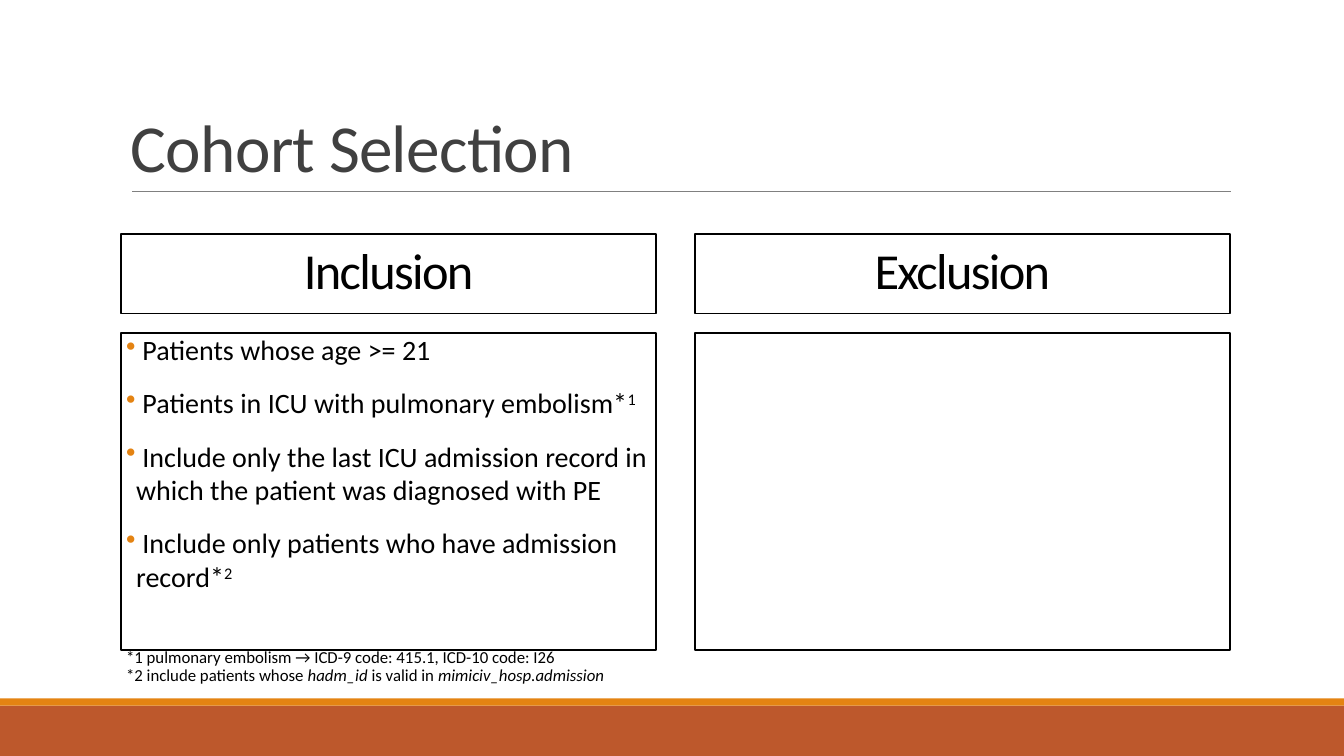
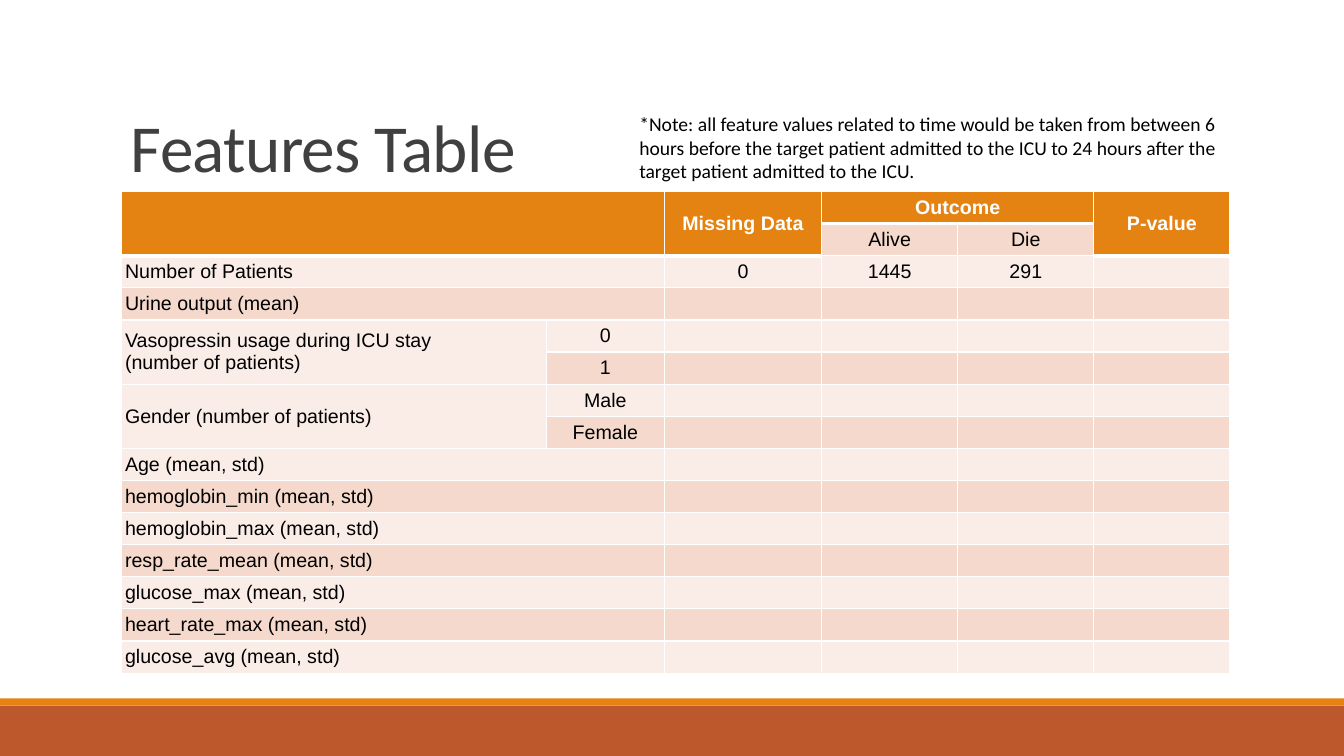
from dataclasses import dataclass

from lxml.etree import SubElement
from pptx import Presentation
from pptx.dml.color import RGBColor
from pptx.enum.shapes import MSO_CONNECTOR, MSO_SHAPE
from pptx.enum.text import MSO_ANCHOR, PP_ALIGN
from pptx.oxml.ns import qn
from pptx.util import Inches, Pt


@dataclass(frozen=True)
class Theme:
    heading_font: str = "Calibri"
    table_font: str = "Arial"
    black: str = "000000"
    white: str = "FFFFFF"
    title_gray: str = "404040"
    rule_gray: str = "808080"
    orange: str = "E48312"
    rust: str = "BD582C"
    row_light: str = "FAEDE7"
    row_dark: str = "F5D9CC"
    title_size: int = 48
    heading_size: int = 36
    body_size: int = 20
    table_size: int = 14
    footnote_size: int = 12


THEME = Theme()
SLIDE_WIDTH, SLIDE_HEIGHT = 13.33, 7.5
LEFT, CONTENT_WIDTH = 1.2, 11
TITLE_TOP, TITLE_BOTTOM = 0.31, 1.9
SUPERSCRIPT, ITALIC = "superscript", "italic"

INCLUSION_RULES = [
    [" Patients whose age >= 21"],
    [" Patients in ICU with pulmonary embolism*", ("1", SUPERSCRIPT)],
    [" Include only the last ICU admission record in which the patient was diagnosed with PE"],
    [" Include only patients who have admission record*", ("2", SUPERSCRIPT)],
]
FOOTNOTES = [
    ["*1 pulmonary embolism → ICD-9 code: 415.1, ICD-10 code: I26"],
    ["*2 include patients whose ", ("hadm_id", ITALIC), " is valid in ",
     ("mimiciv_hosp.admission", ITALIC)],
]
NOTE = ("*Note: all feature values related to time would be taken from between 6 hours "
        "before the target patient admitted to the ICU to 24 hours after the target "
        "patient admitted to the ICU.")
COLUMN_WIDTHS = [4.22, 1.17, 1.56, 1.35, 1.35, 1.35]
FEATURE_ROWS = [
    ["", "", "Missing Data", "Outcome", "", "P-value"],
    ["", "", "", "Alive", "Die", ""],
    ["Number of Patients", "", "0", "1445", "291", ""],
    ["Urine output (mean)"],
    ["Vasopressin usage during ICU stay\n(number of patients)", "0"],
    ["", "1"],
    ["Gender (number of patients)", "Male"],
    ["", "Female"],
    ["Age (mean, std)"],
    ["hemoglobin_min (mean, std)"],
    ["hemoglobin_max (mean, std)"],
    ["resp_rate_mean (mean, std)"],
    ["glucose_max (mean, std)"],
    ["heart_rate_max (mean, std)"],
    ["glucose_avg (mean, std)"],
]
SPLIT_ROWS = (4, 6)  # first rows of the features that have two categories


def rgb(color):
    return RGBColor.from_string(color)


def set_font(paragraph, size, color, name=THEME.heading_font, bold=False):
    font = paragraph.font
    font.name, font.size, font.bold = name, Pt(size), bold
    font.color.rgb = rgb(color)


def add_runs(paragraph, parts, spacing=None):
    for part in parts:
        text, style = (part, None) if isinstance(part, str) else part
        run = paragraph.add_run()
        run.text = text
        if style == ITALIC:
            run.font.italic = True
        properties = run._r.get_or_add_rPr()
        if style == SUPERSCRIPT:
            properties.set("baseline", "30000")
        if spacing is not None:
            properties.set("spc", str(int(spacing * 100)))


def set_bullet(paragraph, color, indent=0.1):
    properties = paragraph._p.get_or_add_pPr()
    properties.set("marL", str(Inches(indent)))
    properties.set("indent", str(-Inches(indent)))
    bullet_color = SubElement(properties, qn("a:buClr"))
    SubElement(bullet_color, qn("a:srgbClr"), val=color)
    SubElement(properties, qn("a:buChar"), char="•")


def write_paragraphs(frame, lines, size, color=THEME.black, align=PP_ALIGN.LEFT,
                     line_spacing=None, spacing=None, bullets=False):
    frame.word_wrap = True
    for index, parts in enumerate(lines):
        paragraph = frame.add_paragraph() if index else frame.paragraphs[0]
        paragraph.alignment = align
        if line_spacing:
            paragraph.line_spacing = line_spacing
        if bullets:
            paragraph.space_before, paragraph.space_after = Pt(12), Pt(2)
            set_bullet(paragraph, THEME.orange)
        set_font(paragraph, size, color)
        add_runs(paragraph, parts, spacing)


def set_narrow_margins(frame):
    frame.margin_left = frame.margin_right = Inches(0.05)
    frame.margin_top = frame.margin_bottom = 0


def add_rectangle(slide, box, fill=None, outline=None):
    shape = slide.shapes.add_shape(MSO_SHAPE.RECTANGLE, *map(Inches, box))
    shape.shadow.inherit = False
    if fill:
        shape.fill.solid()
        shape.fill.fore_color.rgb = rgb(fill)
    else:
        shape.fill.background()
    if outline:
        shape.line.color.rgb = rgb(outline)
        shape.line.width = Pt(1.25)
    else:
        shape.line.fill.background()
    return shape


def add_text(slide, box, lines, size, **style):
    frame = slide.shapes.add_textbox(*map(Inches, box)).text_frame
    set_narrow_margins(frame)
    write_paragraphs(frame, lines, size, **style)


def add_base_slide(presentation, title):
    slide = presentation.slides.add_slide(presentation.slide_layouts[6])
    # Footer bands
    add_rectangle(slide, (0, 7, SLIDE_WIDTH, 0.5), THEME.rust)
    add_rectangle(slide, (0, 6.93, SLIDE_WIDTH, 0.07), THEME.orange)
    # Rule under the title
    rule = slide.shapes.add_connector(
        MSO_CONNECTOR.STRAIGHT, Inches(LEFT + 0.11), Inches(TITLE_BOTTOM),
        Inches(LEFT + CONTENT_WIDTH + 0.01), Inches(TITLE_BOTTOM))
    rule.line.color.rgb = rgb(THEME.rule_gray)
    rule.line.width = Pt(0.5)
    SubElement(rule._element.spPr, qn("a:effectLst"))
    # Title
    box = (LEFT, TITLE_TOP, CONTENT_WIDTH, TITLE_BOTTOM - TITLE_TOP)
    frame = slide.shapes.add_textbox(*map(Inches, box)).text_frame
    frame.vertical_anchor = MSO_ANCHOR.BOTTOM
    write_paragraphs(frame, [[title]], THEME.title_size, THEME.title_gray,
                     line_spacing=0.85, spacing=-0.5)
    return slide


def add_criteria_panel(slide, box, heading, rules):
    left, top, width, height = box
    heading_height, gap = 0.79, 0.19
    # Criteria list
    body_top = top + heading_height + gap
    body = add_rectangle(slide, (left, body_top, width, top + height - body_top),
                         THEME.white, THEME.black)
    if rules:
        set_narrow_margins(body.text_frame)
        body.text_frame.vertical_anchor = MSO_ANCHOR.TOP
        write_paragraphs(body.text_frame, rules, THEME.body_size, bullets=True)
    # Heading
    header = add_rectangle(slide, (left, top, width, heading_height), outline=THEME.black)
    header.text_frame.vertical_anchor = MSO_ANCHOR.MIDDLE
    write_paragraphs(header.text_frame, [[heading]], THEME.heading_size,
                     align=PP_ALIGN.CENTER, line_spacing=0.85, spacing=-1.2)


def add_cohort_slide(presentation):
    slide = add_base_slide(presentation, "Cohort Selection")
    panel_width, panel_top, panel_height = 5.31, 2.32, 4.13
    panels = [("Inclusion", INCLUSION_RULES), ("Exclusion", [])]
    for index, (heading, rules) in enumerate(panels):
        left = LEFT + index * (CONTENT_WIDTH - panel_width)
        add_criteria_panel(slide, (left, panel_top, panel_width, panel_height), heading, rules)
    add_text(slide, (LEFT, 6.44, panel_width, 0.39), FOOTNOTES, THEME.footnote_size,
             line_spacing=0.9)


def is_header(row, column):
    return row == 0 or (row == 1 and column not in (3, 4))


def set_borders(cell, row, column):
    header = is_header(row, column)
    widths = {
        "a:lnL": 1,
        "a:lnR": 1,
        "a:lnT": 3 if row and not header and is_header(row - 1, column) else 1,
        "a:lnB": 3 if header and not is_header(row + 1, column) else 1,
    }
    properties = cell._tc.get_or_add_tcPr()
    for tag, width in widths.items():
        line = SubElement(properties, qn(tag), w=str(Pt(width)))
        fill = SubElement(line, qn("a:solidFill"))
        SubElement(fill, qn("a:srgbClr"), val=THEME.white)


def style_cell(cell, row, column, text):
    header = is_header(row, column)
    cell.text = text
    cell.vertical_anchor = MSO_ANCHOR.MIDDLE
    cell.margin_left = cell.margin_right = Inches(0.04)
    cell.margin_top = cell.margin_bottom = 0
    for paragraph in cell.text_frame.paragraphs:
        paragraph.alignment = PP_ALIGN.CENTER if column else PP_ALIGN.LEFT
        set_font(paragraph, THEME.table_size, THEME.white if header else THEME.black,
                 THEME.table_font, header)
    set_borders(cell, row, column)
    # A two-row label keeps the shade of its first row
    shade_row = row - 1 if column == 0 and row - 1 in SPLIT_ROWS else row
    stripe = THEME.row_dark if shade_row % 2 else THEME.row_light
    cell.fill.solid()
    cell.fill.fore_color.rgb = rgb(THEME.orange if header else stripe)


def add_feature_table(slide, box):
    row_count, column_count = len(FEATURE_ROWS), len(COLUMN_WIDTHS)
    table = slide.shapes.add_table(row_count, column_count, *map(Inches, box)).table
    for column, width in zip(table.columns, COLUMN_WIDTHS):
        column.width = Inches(width)
    for row in table.rows:
        row.height = Inches(box[3] / row_count)
    # Cells
    for row, texts in enumerate(FEATURE_ROWS):
        padded = texts + [""] * (column_count - len(texts))
        for column, text in enumerate(padded):
            style_cell(table.cell(row, column), row, column, text)
    # Merged header and label cells
    spans = [((0, 0), (1, 1)), ((0, 2), (1, 2)), ((0, 3), (0, 4)), ((0, 5), (1, 5))]
    spans += [((row, 0), (row + 1, 0)) for row in SPLIT_ROWS]
    split = [row + offset for row in SPLIT_ROWS for offset in (0, 1)]
    spans += [((row, 0), (row, 1)) for row in range(2, row_count) if row not in split]
    for first, last in spans:
        table.cell(*first).merge(table.cell(*last))


def add_features_slide(presentation):
    slide = add_base_slide(presentation, "Features Table")
    add_feature_table(slide, (LEFT, TITLE_BOTTOM, CONTENT_WIDTH, 4.78))
    add_text(slide, (6.29, 1.11, 5.91, 0.79), [[NOTE]], THEME.table_size)


def main():
    presentation = Presentation()
    presentation.slide_width = Inches(SLIDE_WIDTH)
    presentation.slide_height = Inches(SLIDE_HEIGHT)
    add_cohort_slide(presentation)
    add_features_slide(presentation)
    presentation.save("out.pptx")


if __name__ == "__main__":
    main()
